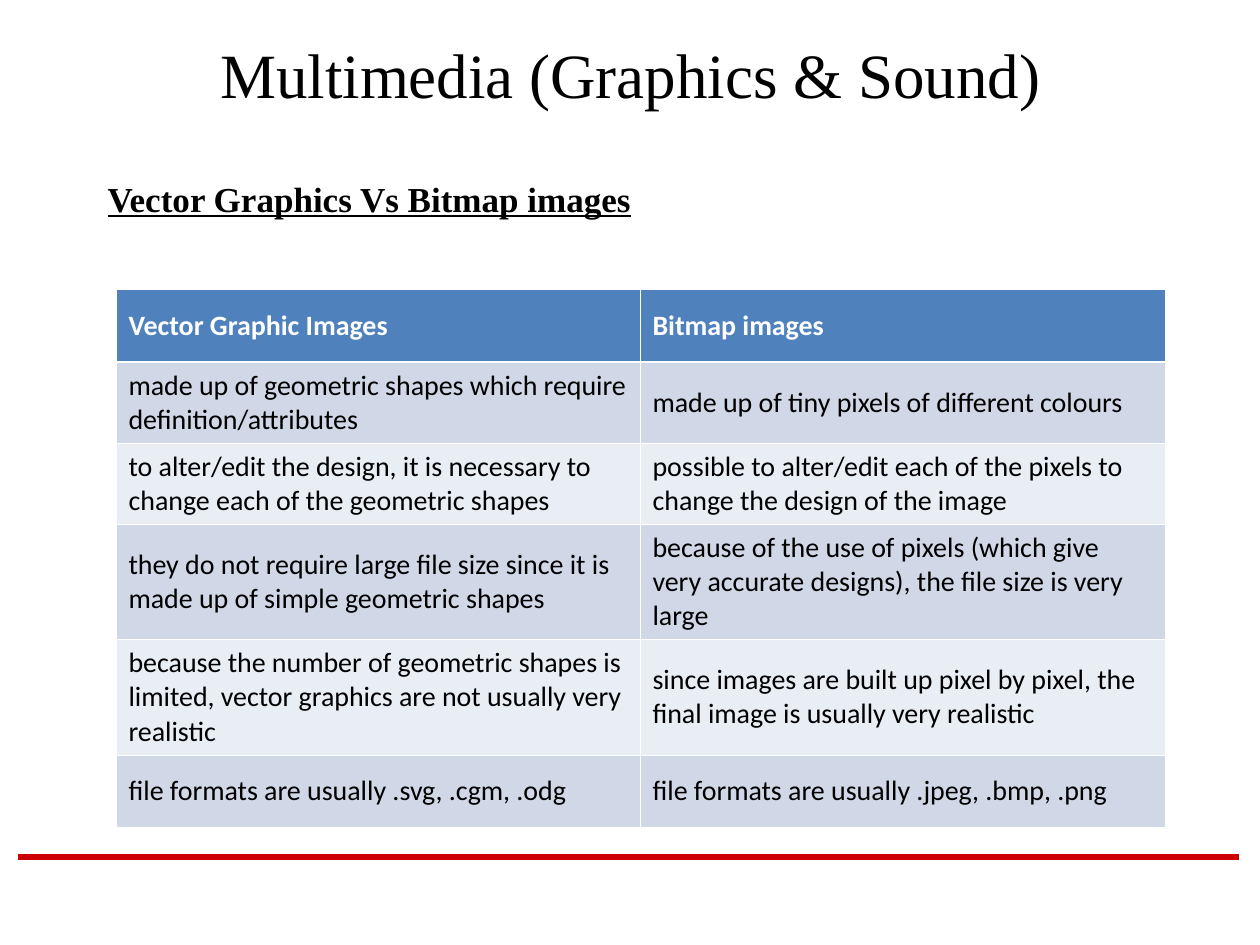
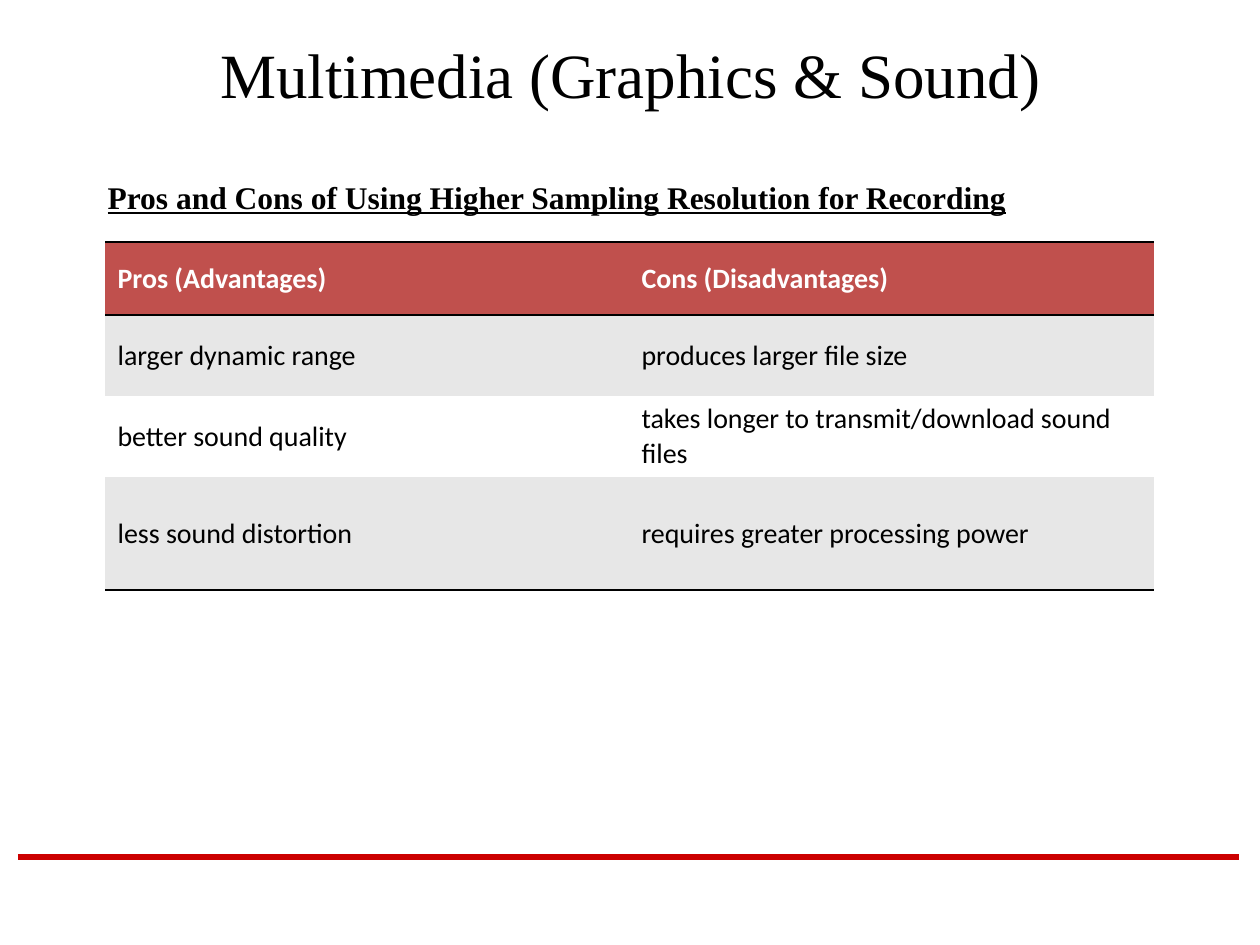
from lxml import etree
from pptx import Presentation
from pptx.dml.color import RGBColor
from pptx.enum.shapes import MSO_CONNECTOR
from pptx.enum.text import MSO_ANCHOR, MSO_AUTO_SIZE, PP_ALIGN
from pptx.oxml.ns import qn
from pptx.util import Emu, Pt

STRAIGHT = MSO_CONNECTOR.STRAIGHT
TOP, MIDDLE = MSO_ANCHOR.TOP, MSO_ANCHOR.MIDDLE
CENTER = PP_ALIGN.CENTER
FIXED_SIZE = MSO_AUTO_SIZE.NONE

PX_PER_INCH = 126
NO_GRID_STYLE = "{2D5ABB26-0587-4C30-8999-92F81FD0307C}"
TITLE = "Multimedia (Graphics & Sound)"

BLACK, WHITE, RED = "000000", "FFFFFF", "CC0000"
TITLE_FONT = {"name": "Times New Roman", "size": Pt(36), "color": BLACK}
HEADING_FONT = {"name": "Times New Roman", "bold": True, "underline": True,
                "color": BLACK}
CELL_FONT = {"name": "Calibri", "size": Pt(16), "bold": False, "color": BLACK}
HEADER_FONT = {**CELL_FONT, "bold": True, "color": WHITE}

COLUMNS = [524, 525]
SHORT, DOUBLE, TALL = 73, 81, 113


def px(n):
    return Emu(round(n * 914400 / PX_PER_INCH))


def rgb(hex_color):
    return RGBColor.from_string(hex_color)


def set_font(font, values):
    for name, value in values.items():
        if name == "color":
            font.color.rgb = rgb(value)
        else:
            setattr(font, name, value)


def place(shape, left, top, width, height):
    shape.left, shape.top = px(left), px(top)
    shape.width, shape.height = px(width), px(height)


def fill_placeholder(shape, text, font, anchor):
    """Write one paragraph into a placeholder and return the paragraph."""
    tf = shape.text_frame
    tf.word_wrap = True
    tf.auto_size = FIXED_SIZE
    tf.vertical_anchor = anchor
    p = tf.paragraphs[0]
    r = p.add_run()
    r.text = text
    set_font(r.font, font)
    return p


def add_title(s):
    place(s.shapes.title, 95, 21, 1071, 105)
    p = fill_placeholder(s.shapes.title, TITLE, TITLE_FONT, MIDDLE)
    p.alignment = CENTER


def add_heading(s, text, size):
    body = s.placeholders[1]
    place(body, 95, 179, 1071, 609)
    p = fill_placeholder(body, text, {**HEADING_FONT, "size": Pt(size)}, TOP)
    pPr = p._p.get_or_add_pPr()
    pPr.set("marL", str(px(48)))
    pPr.set("indent", str(px(-48)))
    etree.SubElement(pPr, qn("a:buNone"))
    p.line_spacing = 0.8
    p.space_before = Pt(0)


def add_footer_line(s):
    line = s.shapes.add_connector(STRAIGHT, px(18), px(857), px(1239), px(857))
    line.line.color.rgb = rgb(RED)
    line.line.width = Pt(3)
    etree.SubElement(line._element.spPr, qn("a:effectLst"))


def grid_edges(row, last):
    """White line on every side, thicker under the header."""
    return {"L": 0.45, "R": 0.45,
            "T": 1.5 if row == 1 else 0.45,
            "B": 1.5 if row == 0 else 0.45}


def rule_edges(row, last):
    """Horizontal lines around the header and at the foot only."""
    edges = {"T": 1} if row < 2 else {}
    if row in (0, last):
        edges["B"] = 1
    return edges


def set_borders(cell, edges, color):
    tcPr = cell._tc.get_or_add_tcPr()
    for side in "LRTB":
        ln = etree.SubElement(tcPr, qn(f"a:ln{side}"))
        if side in edges:
            ln.set("w", str(Pt(edges[side])))
            fill = etree.SubElement(ln, qn("a:solidFill"))
            etree.SubElement(fill, qn("a:srgbClr")).set("val", color)
        else:
            etree.SubElement(ln, qn("a:noFill"))


def format_cell(cell, text, font, fill):
    cell.fill.solid()
    cell.fill.fore_color.rgb = rgb(fill)
    cell.vertical_anchor = MIDDLE
    r = cell.text_frame.paragraphs[0].add_run()
    r.text = text
    set_font(r.font, font)


def add_comparison(s, left, top, rows, heights, theme):
    shape = s.shapes.add_table(len(rows), len(COLUMNS), px(left), px(top),
                               px(sum(COLUMNS)), px(sum(heights)))
    table = shape.table
    table._tbl.tblPr.find(qn("a:tableStyleId")).text = NO_GRID_STYLE
    for column, width in zip(table.columns, COLUMNS):
        column.width = px(width)
    for i, (texts, height) in enumerate(zip(rows, heights)):
        table.rows[i].height = px(height)
        font = CELL_FONT if i else HEADER_FONT
        fill = theme["bands"][(i - 1) % 2] if i else theme["header"]
        for j, text in enumerate(texts):
            cell = table.cell(i, j)
            set_borders(cell, theme["edges"](i, len(rows) - 1), theme["line"])
            format_cell(cell, text, font, fill)


BLUE_GRID = {"header": "4F81BD", "bands": ["D0D8E8", "E9EDF4"],
             "line": WHITE, "edges": grid_edges}
RED_RULES = {"header": "C0504D", "bands": ["E7E7E7", WHITE],
             "line": BLACK, "edges": rule_edges}

IMAGE_TYPES = [
    ("Vector Graphic Images", "Bitmap images"),
    ("made up of geometric shapes which require definition/attributes",
     "made up of tiny pixels of different colours"),
    ("to alter/edit the design, it is necessary to change each of the "
     "geometric shapes",
     "possible to alter/edit each of the pixels to change the design of the "
     "image"),
    ("they do not require large file size since it is made up of simple "
     "geometric shapes",
     "because of the use of pixels (which give very accurate designs), the "
     "file size is very large"),
    ("because the number of geometric shapes is limited, vector graphics are "
     "not usually very realistic",
     "since images are built up pixel by pixel, the final image is usually "
     "very realistic"),
    ("file formats are usually .svg, .cgm, .odg",
     "file formats are usually .jpeg, .bmp, .png"),
]
SAMPLING = [
    ("Pros (Advantages)", "Cons (Disadvantages)"),
    ("larger dynamic range", "produces larger file size"),
    ("better sound quality", "takes longer to transmit/download sound files"),
    ("less sound distortion", "requires greater processing power"),
]


def add_topic_slide(prs, heading, size):
    s = prs.slides.add_slide(prs.slide_layouts[1])
    add_footer_line(s)
    add_title(s)
    add_heading(s, heading, size)
    return s


def main():
    prs = Presentation()
    prs.slide_width, prs.slide_height = px(1260), px(945)

    s = add_topic_slide(prs, "Vector Graphics Vs Bitmap images", 20)
    add_comparison(s, 116, 289, IMAGE_TYPES,
                   [SHORT, DOUBLE, DOUBLE, TALL, TALL, SHORT], BLUE_GRID)

    s = add_topic_slide(prs, "Pros and Cons of Using Higher Sampling "
                             "Resolution for Recording", 18)
    add_comparison(s, 105, 242, SAMPLING,
                   [SHORT, DOUBLE, DOUBLE, TALL], RED_RULES)

    prs.save("out.pptx")


if __name__ == "__main__":
    main()
